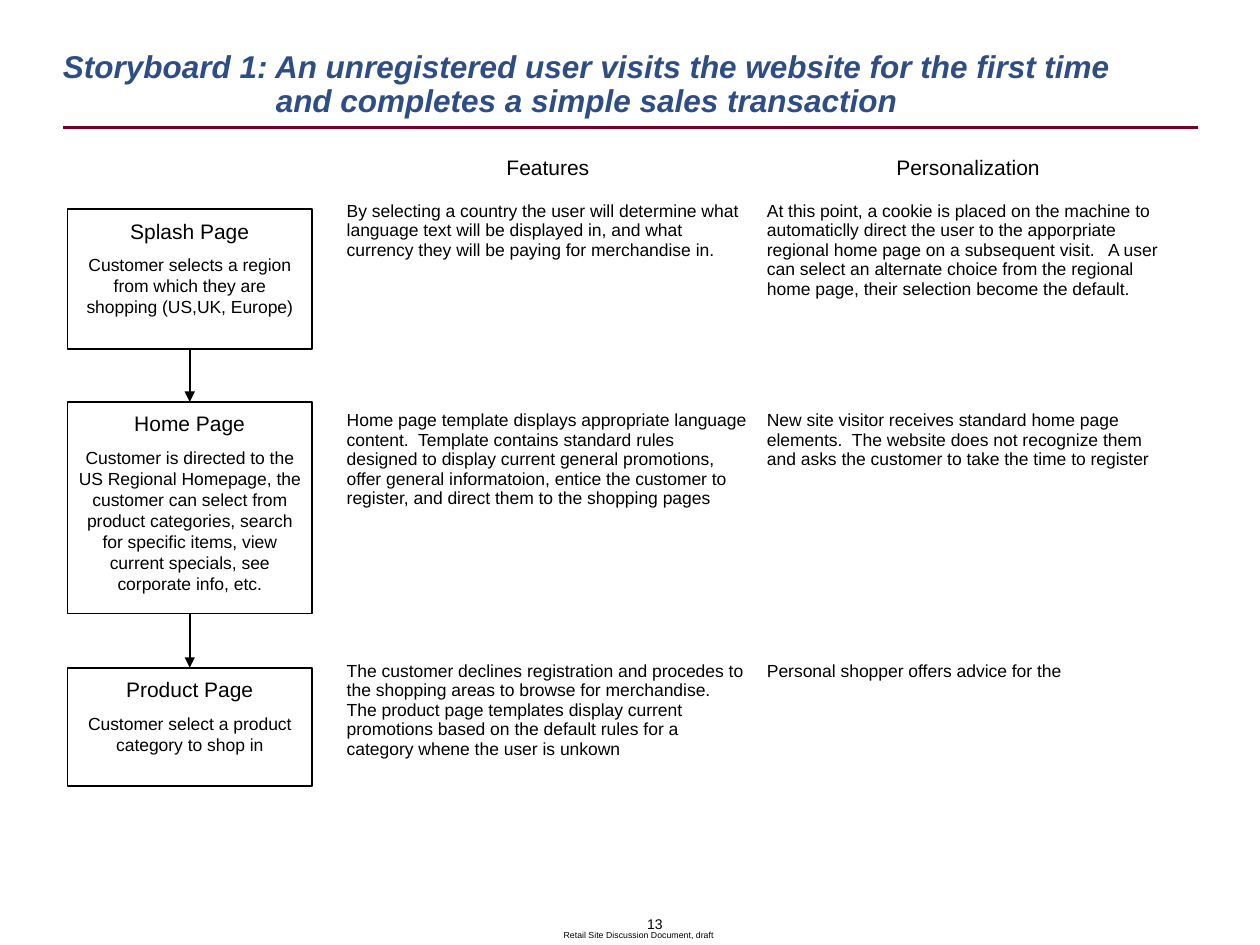
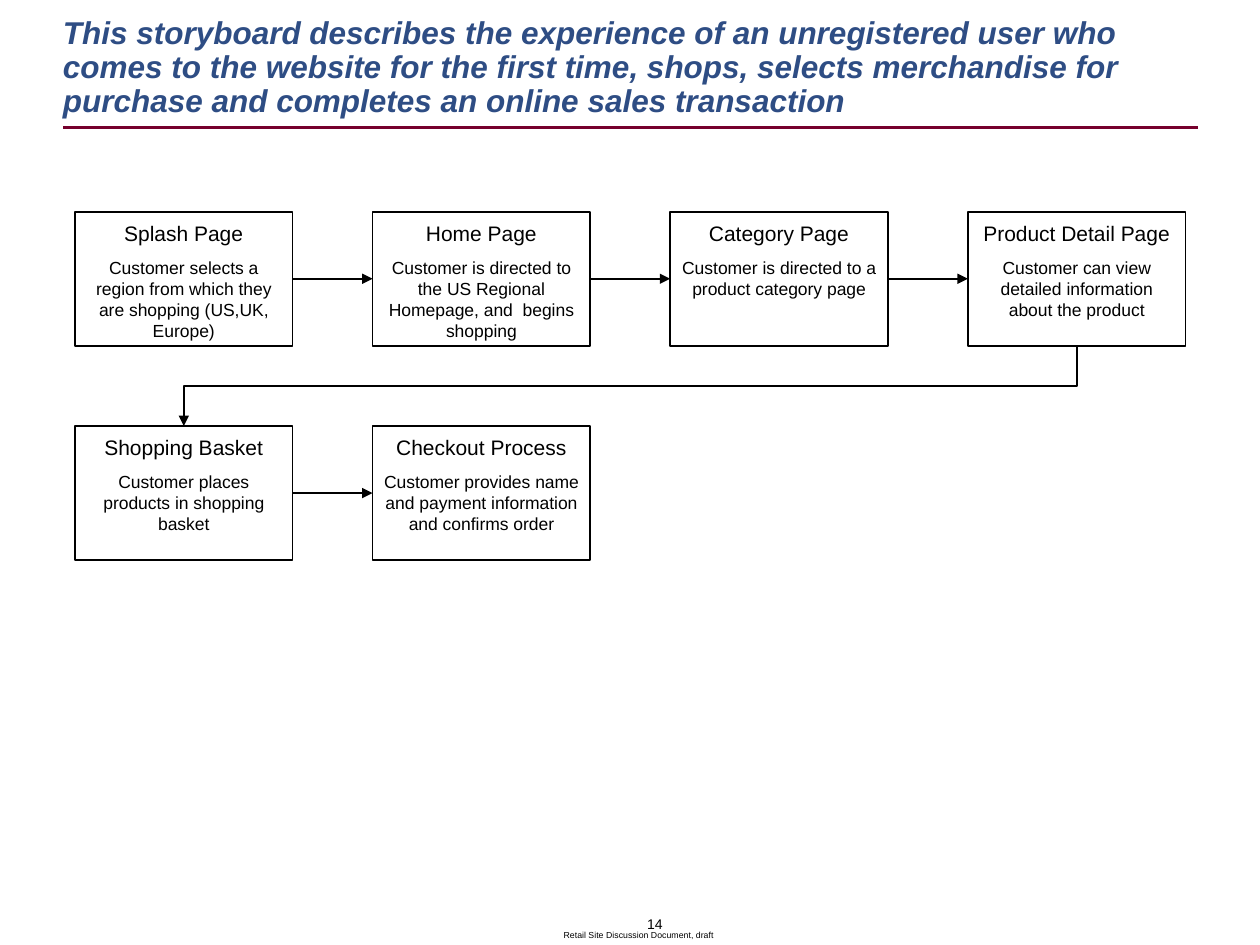
"""Build two storyboard slides of a retail site walkthrough."""
import itertools

import pptx
import pptx.dml.color
import pptx.enum.shapes
import pptx.enum.text
import pptx.oxml
import pptx.oxml.ns
import pptx.util

Cm = pptx.util.Cm
Pt = pptx.util.Pt
ALIGN = pptx.enum.text.PP_ALIGN
ANCHOR = pptx.enum.text.MSO_ANCHOR
CONNECTOR = pptx.enum.shapes.MSO_CONNECTOR
TOP, LEFT, BOTTOM, RIGHT = range(4)

COLORS = {"title": "2E4D84", "rule": "76002D", "ink": "000000"}
FONT = "Arial"
FOOTER = "Retail Site Discussion Document, draft"

TITLE = {"size": Pt(18), "bold": True, "italic": True}
HEADING = {"size": Pt(12)}
BODY = {"size": Pt(10)}
NUMBER = {"size": Pt(8)}
SMALL = {"size": Pt(5)}

STORY_TITLE = ("Storyboard 1: An unregistered user visits the website for the first time "
               "and completes a simple sales transaction")
STORY_STEPS = [
    (4.22, 2.82, "Splash Page",
     "Customer selects a region from which they are shopping (US,UK, Europe)"),
    (8.1, 4.27, "Home Page",
     "Customer is directed to the US Regional Homepage, the customer can select from product "
     "categories, search for specific items, view current specials, see corporate info, etc."),
    (13.46, 2.39, "Product Page", "Customer select a product category to shop in"),
]
STORY_ROWS = [
    (0.91, "Features", "Personalization"),
    (4.22,
     "By selecting a country the user will determine what language text will be displayed in, "
     "and what currency they will be paying for merchandise in.",
     "At this point, a cookie is placed on the machine to automaticlly direct the user to the "
     "apporpriate regional home page on a subsequent visit.   A user can select an alternate "
     "choice from the regional home page, their selection become the default."),
    (5.05,
     "Home page template displays appropriate language content.  Template contains standard "
     "rules designed to display current general promotions, offer general informatoion, entice "
     "the customer to register, and direct them to the shopping pages",
     "New site visitor receives standard home page elements.  The website does not recognize "
     "them and asks the customer to take the time to register"),
    (3.12,
     "The customer declines registration and procedes to the shopping areas to browse for "
     "merchandise.  The product page templates display current promotions based on the default "
     "rules for a category whene the user is unkown",
     "Personal shopper offers advice for the"),
]

FLOW_TITLE = ("This storyboard describes the experience of an unregistered user who comes to the "
              "website for the first time, shops, selects merchandise for purchase and completes "
              "an online sales transaction")
FLOW_COLUMNS = 4
FLOW_STEPS = [
    ("Splash Page", "Customer selects a region from which they are shopping (US,UK, Europe)"),
    ("Home Page", "Customer is directed to the US Regional Homepage, and  begins shopping"),
    ("Category Page", "Customer is directed to a product category page"),
    ("Product Detail Page", "Customer can view detailed information about the product"),
    ("Shopping Basket", "Customer places products in shopping basket"),
    ("Checkout Process", "Customer provides name and payment information and confirms order"),
]


def apply_format(target, values):
    """Set every attribute named in a dict of format values."""
    for name, value in values.items():
        setattr(target, name, value)


def set_frame(frame, across, down, anchor=ANCHOR.TOP):
    """Wrap a text frame and give it its insets in centimetres."""
    apply_format(frame, {"word_wrap": True, "vertical_anchor": anchor,
                         "margin_left": Cm(across), "margin_right": Cm(across),
                         "margin_top": Cm(down), "margin_bottom": Cm(down)})


def write_para(para, text, font, color="ink", **layout):
    """Write one styled run into a paragraph."""
    apply_format(para, layout)
    span = para.add_run()
    span.text = text
    apply_format(span.font, {"name": FONT, **font})
    span.font.color.rgb = pptx.dml.color.RGBColor.from_string(COLORS[color])


def add_text(page, box, text, font, insets=(0.25, 0.13), anchor=ANCHOR.TOP, color="ink", **layout):
    """Add a text box of one paragraph and return the paragraph."""
    frame = page.shapes.add_textbox(*map(Cm, box)).text_frame
    set_frame(frame, *insets, anchor)
    para = frame.paragraphs[0]
    write_para(para, text, font, color, **layout)
    return para


def add_line(page, kind, ends, color="ink", width=1):
    """Add a connector without shadow between two points."""
    line = page.shapes.add_connector(kind, *ends)
    line.line.width = Pt(width)
    line.line.color.rgb = pptx.dml.color.RGBColor.from_string(COLORS[color])
    line._element.spPr.append(pptx.oxml.parse_xml(
        f"<a:effectLst {pptx.oxml.ns.nsdecls('a')}/>"))
    return line


def add_arrowhead(line):
    """Put a triangle at the end of a connector."""
    outline = line._element.spPr.find(pptx.oxml.ns.qn("a:ln"))
    outline.append(pptx.oxml.parse_xml(
        f"<a:tailEnd {pptx.oxml.ns.nsdecls('a')} type='triangle'/>"))


def add_arrow(page, start, start_side, end, end_side):
    """Join two step boxes with a straight arrow."""
    arrow = add_line(page, CONNECTOR.STRAIGHT, (0, 0, 0, 0))
    arrow.begin_connect(start, start_side)
    arrow.end_connect(end, end_side)
    add_arrowhead(arrow)


def add_return_arrow(page, start, end):
    """Lead from the bottom of the last box in a row to the top of the first in the next."""
    start_x, start_y = start.left + start.width // 2, start.top + start.height
    end_x, end_y = end.left + end.width // 2, end.top
    middle_x, middle_y = (start_x + end_x) // 2, (start_y + end_y) // 2
    half_drop, half_run = (end_y - start_y) // 2, (start_x - end_x) // 2
    arrow = add_line(page, CONNECTOR.ELBOW, (middle_x - half_drop, middle_y - half_run,
                                             middle_x + half_drop, middle_y + half_run))
    arrow._element.spPr.xfrm.set("rot", str(90 * 60000))
    add_arrowhead(arrow)


def add_step(page, box, heading, body):
    """Draw an outlined step box with a heading and a description."""
    step = page.shapes.add_shape(pptx.enum.shapes.MSO_SHAPE.RECTANGLE, *map(Cm, box))
    step.shadow.inherit = False
    step.fill.background()
    step.line.width = Pt(1)
    step.line.color.rgb = pptx.dml.color.RGBColor.from_string(COLORS["ink"])
    frame = step.text_frame
    set_frame(frame, 0.18, 0.18)
    write_para(frame.paragraphs[0], heading, HEADING,
               alignment=ALIGN.CENTER, line_spacing=Pt(14.4))
    write_para(frame.add_paragraph(), body, BODY,
               alignment=ALIGN.CENTER, line_spacing=Pt(12), space_before=Pt(6.2))
    return step


def add_page(deck, title, number, hanging=0):
    """Add a slide with title, rule, page number and footer."""
    page = deck.slides.add_slide(deck.slide_layouts[6])
    add_line(page, CONNECTOR.STRAIGHT, map(Cm, (1.27, 2.57, 24.16, 2.57)), "rule", 2)
    add_text(page, (11.81, 18.36, 1.8, 0.56), str(number), NUMBER,
             alignment=ALIGN.RIGHT, line_spacing=0.9)
    add_text(page, (10.77, 18.75, 4.22, 0.2), FOOTER, SMALL, insets=(0, 0),
             alignment=ALIGN.CENTER)
    para = add_text(page, (1.02, 0.22, 22.89, 2.31), title, TITLE, anchor=ANCHOR.BOTTOM,
                    color="title", alignment=ALIGN.LEFT, line_spacing=Pt(19.4))
    if hanging:
        properties = para._p.get_or_add_pPr()
        properties.set("marL", str(Cm(hanging)))
        properties.set("indent", str(-Cm(hanging)))
    return page


def add_feature_table(page, box, rows):
    """Add the unfilled table of features and personalization."""
    left, top, width = box
    height = sum(row[0] for row in rows)
    table = page.shapes.add_table(len(rows), 2, Cm(left), Cm(top), Cm(width), Cm(height)).table
    apply_format(table, {"first_row": False, "horz_banding": False})
    for index, (row_height, *texts) in enumerate(rows):
        table.rows[index].height = Cm(row_height)
        font, align = (BODY, ALIGN.LEFT) if index else (HEADING, ALIGN.CENTER)
        for column, text in enumerate(texts):
            cell = table.cell(index, column)
            cell.fill.background()
            apply_format(cell, {"margin_left": Cm(0.18), "margin_right": Cm(0.18),
                                "margin_top": Cm(0.13), "margin_bottom": Cm(0.13)})
            write_para(cell.text_frame.paragraphs[0], text, font, alignment=align)


def add_step_column(page, left, width, steps):
    """Stack step boxes and join each to the next."""
    boxes = [add_step(page, (left, top, width, height), heading, body)
             for top, height, heading, body in steps]
    for start, end in itertools.pairwise(boxes):
        add_arrow(page, start, BOTTOM, end, TOP)


def add_step_grid(page, box, pitch, steps):
    """Lay step boxes out in rows and join them in reading order."""
    left, top, width, height = box
    boxes = []
    for index, (heading, body) in enumerate(steps):
        row, column = divmod(index, FLOW_COLUMNS)
        place = (left + column * pitch[0], top + row * pitch[1], width, height)
        boxes.append(add_step(page, place, heading, body))
    for start, end in itertools.pairwise(boxes):
        if start.top == end.top:
            add_arrow(page, start, RIGHT, end, LEFT)
        else:
            add_return_arrow(page, start, end)


def main():
    """Build and save the deck."""
    deck = pptx.Presentation()
    apply_format(deck, {"slide_width": Cm(25.4), "slide_height": Cm(19.05)})
    story = add_page(deck, STORY_TITLE, 13, hanging=4.29)
    add_feature_table(story, (6.81, 3.02, 16.94), STORY_ROWS)
    add_step_column(story, 1.36, 4.93, STORY_STEPS)
    flow = add_page(deck, FLOW_TITLE, 14)
    add_step_grid(flow, (1.51, 4.27, 4.39, 2.7), (6, 4.32), FLOW_STEPS)
    deck.save("out.pptx")


if __name__ == "__main__":
    main()
